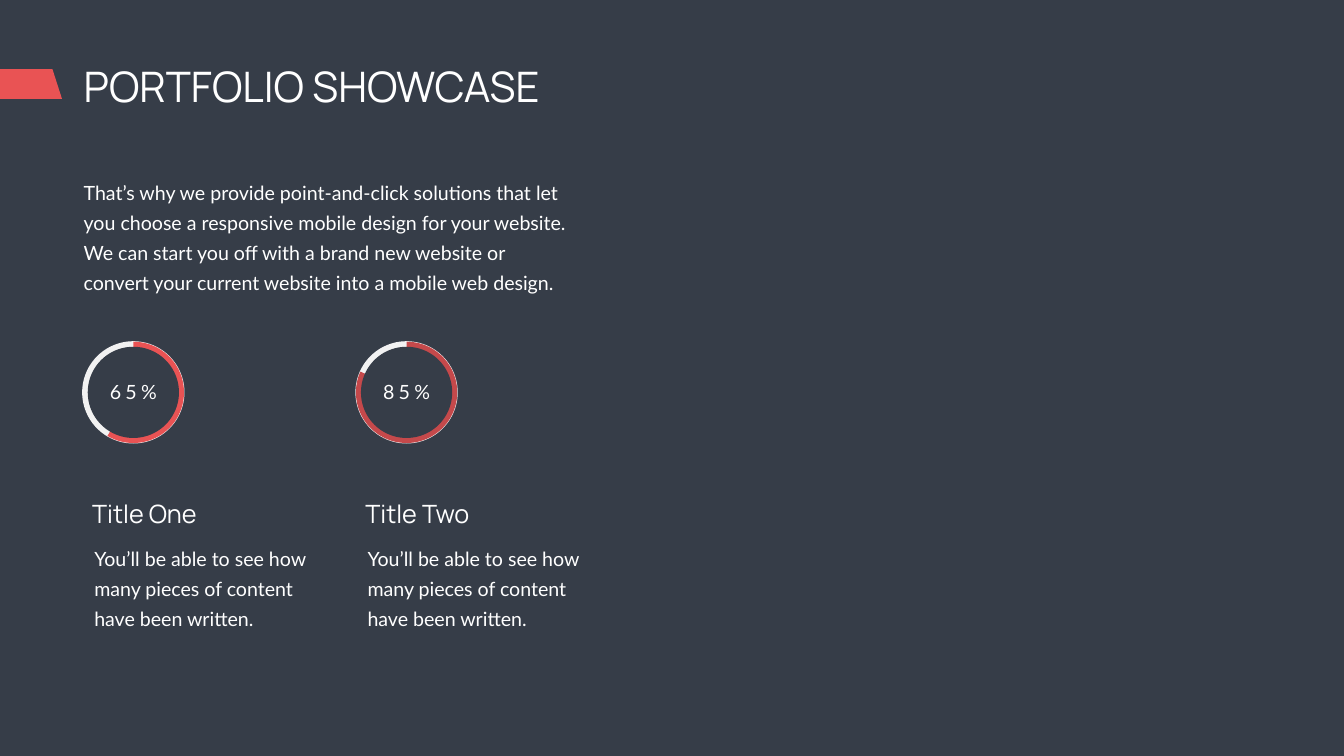
from pptx import Presentation
from pptx.dml.color import RGBColor
from pptx.enum.shapes import MSO_SHAPE
from pptx.enum.text import MSO_ANCHOR, MSO_AUTO_SIZE, PP_ALIGN
from pptx.util import Inches, Pt

BACKGROUND, WHITE, RING, RED, DARK_RED = "363D48", "FFFFFF", "F2F2F2", "E95354", "C5494B"
TITLE = "PORTFOLIO SHOWCASE"
INTRO = (
    "That’s why we provide point-and-click solutions that let you choose a responsive "
    "mobile design for your website. We can start you off with a brand new website or "
    "convert your current website into a mobile web design."
)
DESCRIPTION = "You’ll be able to see how many pieces of content have been written."
COLUMNS = [
    {"title": "Title One", "percent": "65%", "end_angle": 120.7, "color": RED},
    {"title": "Title Two", "percent": "85%", "end_angle": 204.2, "color": DARK_RED},
]
COLUMN_LEFT, COLUMN_STEP = 1.63, 5.42
RING_TOP, RING_SIZE, RING_WIDTH = 6.77, 2.03, 0.11
START_ANGLE, ADJUSTMENT_PER_DEGREE = 270, 0.6
TAB_POINTS = [(1.04, 1.37), (0, 1.37), (0, 1.96), (1.23, 1.96)]


def rgb(color):
    return RGBColor.from_string(color)


def fill_shape(shape, color):
    shape.shadow.inherit = False
    shape.fill.solid()
    shape.fill.fore_color.rgb = rgb(color)
    shape.line.fill.background()


def write_text(shape, text, size, font, align=PP_ALIGN.LEFT, wrap=True,
               insets=(0.1, 0.05), line_height=None):
    frame = shape.text_frame
    frame.word_wrap = wrap
    frame.auto_size = MSO_AUTO_SIZE.NONE
    frame.vertical_anchor = MSO_ANCHOR.TOP
    frame.margin_left = frame.margin_right = Inches(insets[0])
    frame.margin_top = frame.margin_bottom = Inches(insets[1])
    paragraph = frame.paragraphs[0]
    paragraph.alignment = align
    paragraph.space_before = Pt(0)
    paragraph.line_spacing = Pt(line_height) if line_height else 1.0
    run = paragraph.add_run()
    run.text = text
    run.font.size = Pt(size)
    run.font.name = font
    run.font.color.rgb = rgb(WHITE)
    return run


def add_text(slide, box, text, size, font, **options):
    return write_text(slide.shapes.add_textbox(*map(Inches, box)), text, size, font, **options)


def add_body(slide, box, text):
    add_text(slide, box, text, 28, "Lato", insets=(0.24, 0.12), line_height=43)


def add_ring_part(group, kind, left, inset, color):
    size = Inches(RING_SIZE - 2 * inset)
    shape = group.shapes.add_shape(
        kind, Inches(left + inset), Inches(RING_TOP + inset), size, size)
    fill_shape(shape, color)
    return shape


def add_column(slide, left, column):
    add_body(slide, (left, 10.6, 4.75, 1.99), DESCRIPTION)
    add_text(slide, (left + 0.1, 9.84, 4.14, 0.71), column["title"], 36, "Manrope")
    group = slide.shapes.add_group_shape()
    add_ring_part(group, MSO_SHAPE.OVAL, left, 0, RING)
    pie = add_ring_part(group, MSO_SHAPE.PIE, left, 0.01, column["color"])
    pie.adjustments[0] = START_ANGLE * ADJUSTMENT_PER_DEGREE
    pie.adjustments[1] = column["end_angle"] * ADJUSTMENT_PER_DEGREE
    pie.adjustments[0], pie.adjustments[1] = pie.adjustments[1], pie.adjustments[0]
    pie.adjustments[0], pie.adjustments[1] = pie.adjustments[1], pie.adjustments[0]
    add_ring_part(group, MSO_SHAPE.OVAL, left, RING_WIDTH, BACKGROUND)
    run = add_text(slide, (left + 0.38, 7.49, 1.27, 0.57), column["percent"], 28, "Lato",
                   align=PP_ALIGN.CENTER, wrap=False)
    run.font._element.set("spc", "600")


def main():
    presentation = Presentation()
    presentation.slide_width, presentation.slide_height = Inches(26.66), Inches(15)
    slide = presentation.slides.add_slide(presentation.slide_layouts[5])
    slide.background.fill.solid()
    slide.background.fill.fore_color.rgb = rgb(BACKGROUND)

    title = slide.shapes.title
    title.left, title.top, title.width, title.height = map(Inches, (1.56, 1.16, 10.37, 1.11))
    write_text(title, TITLE, 60, "Manrope")

    start, *corners = [(Inches(x), Inches(y)) for x, y in TAB_POINTS]
    builder = slide.shapes.build_freeform(*start)
    builder.add_line_segments(corners, close=True)
    fill_shape(builder.convert_to_shape(), RED)

    add_body(slide, (1.42, 3.34, 10.23, 2.59), INTRO)
    for index, column in enumerate(COLUMNS):
        add_column(slide, COLUMN_LEFT + index * COLUMN_STEP, column)
    presentation.save("out.pptx")


if __name__ == "__main__":
    main()
